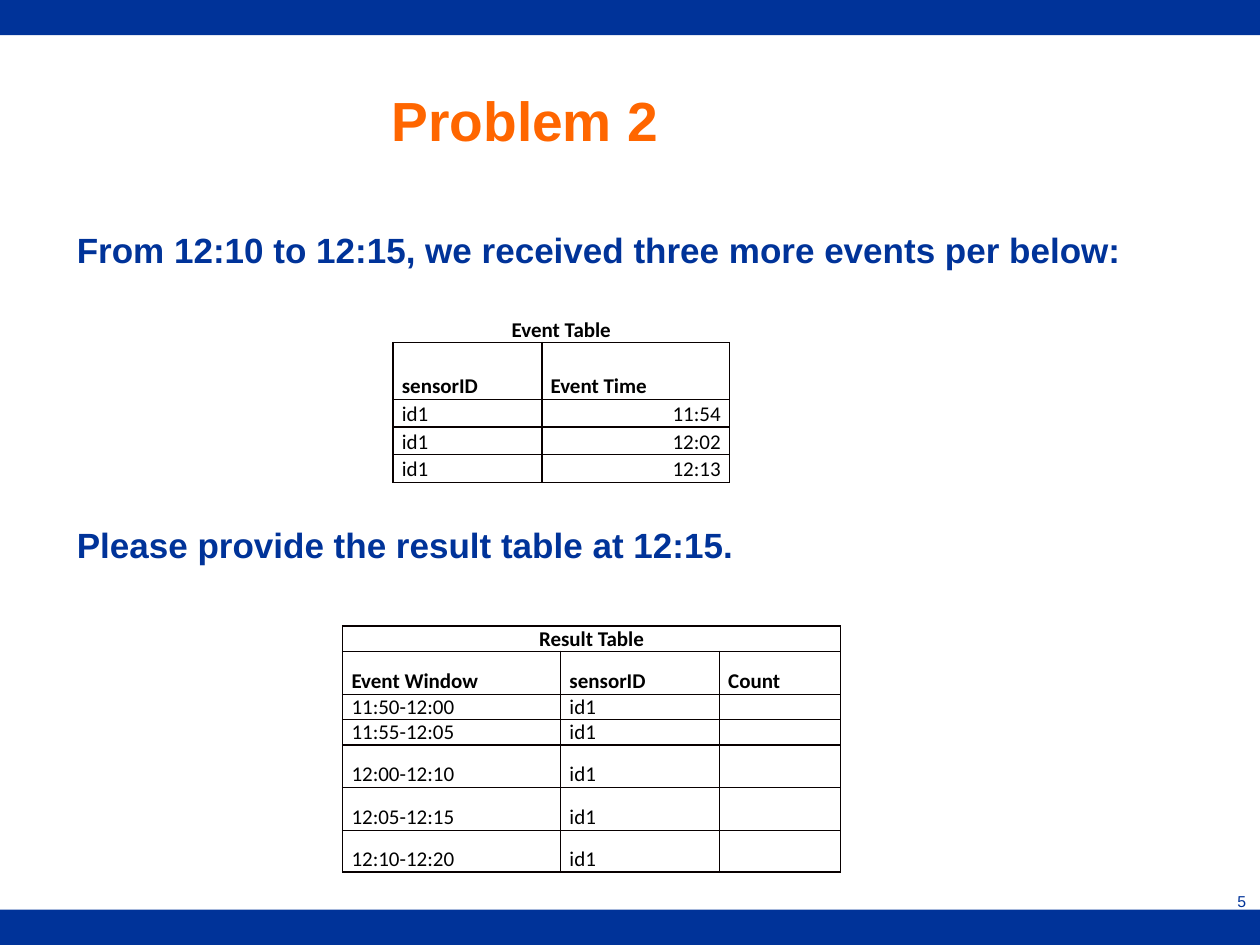
from lxml.etree import SubElement
from pptx import Presentation
from pptx.dml.color import RGBColor
from pptx.enum.shapes import MSO_SHAPE
from pptx.enum.text import MSO_ANCHOR, PP_ALIGN
from pptx.oxml import parse_xml
from pptx.oxml.ns import nsdecls, qn
from pptx.util import Inches, Pt

COLORS = {"blue": "003399", "orange": "FF6600", "black": "000000", "border": "080000"}
FRAME_FORMAT = {
    "word_wrap": True,
    "margin_left": Inches(0.11), "margin_right": Inches(0.11),
    "margin_top": Inches(0.06), "margin_bottom": Inches(0.06),
}
CELL_FORMAT = {
    "vertical_anchor": MSO_ANCHOR.BOTTOM,
    "margin_left": Inches(0.07), "margin_right": Inches(0.07),
    "margin_top": 0, "margin_bottom": 0,
}


def write(paragraph, text, font, size, color, bold=False, align=PP_ALIGN.LEFT):
    paragraph.alignment = align
    run = paragraph.add_run()
    run.text = text
    run.font.color.rgb = RGBColor.from_string(COLORS[color])
    for name, value in {"name": font, "size": Pt(size), "bold": bold}.items():
        setattr(run.font, name, value)


def add_grid(slide, left, top, widths, heights, rows, number_columns=(), title_sides="LRTB"):
    """Add a bordered table whose first row is a merged title and second row a header."""
    frame = slide.shapes.add_table(
        len(rows), len(widths), Inches(left), Inches(top),
        Inches(sum(widths)), Inches(sum(heights)))
    table = frame.table
    table.first_row = table.horz_banding = False
    for column, width in zip(table.columns, widths):
        column.width = Inches(width)
    for row, height in zip(table.rows, heights):
        row.height = Inches(height)
    table.cell(0, 0).merge(table.cell(0, len(widths) - 1))

    for r, texts in enumerate(rows):
        for c in range(len(widths)):
            cell = table.cell(r, c)
            for name, value in CELL_FORMAT.items():
                setattr(cell, name, value)
            cell.fill.background()
            paragraph = cell.text_frame.paragraphs[0]
            if c < len(texts):
                align = PP_ALIGN.LEFT
                if r == 0:
                    align = PP_ALIGN.CENTER
                elif r > 1 and c in number_columns:
                    align = PP_ALIGN.RIGHT
                write(paragraph, texts[c], "Calibri", 12, "black", r < 2, align)
            else:
                # Keeps an empty cell from stretching its row
                SubElement(paragraph._p, qn("a:endParaRPr"), sz="1200")
            properties = cell._tc.get_or_add_tcPr()
            for position, side in enumerate("LRTB" if r else title_sides):
                properties.insert(position, parse_xml(
                    f'<a:ln{side} {nsdecls("a")} w="12700"><a:solidFill>'
                    f'<a:srgbClr val="{COLORS["border"]}"/></a:solidFill></a:ln{side}>'))


prs = Presentation()
prs.slide_width, prs.slide_height = Inches(10), Inches(7.5)
slide = prs.slides.add_slide(prs.slide_layouts[5])

# Bars along the bottom and top edges
for bar_top in (7.22, 0):
    bar = slide.shapes.add_shape(
        MSO_SHAPE.RECTANGLE, 0, Inches(bar_top), prs.slide_width, Inches(0.28))
    bar.shadow.inherit = False
    bar.fill.solid()
    bar.fill.fore_color.rgb = RGBColor.from_string(COLORS["blue"])
    bar.line.fill.background()

title = slide.shapes.title
title.left, title.top = Inches(0.6), Inches(0.32)
title.width, title.height = Inches(7.13), Inches(1.25)
instructions = slide.shapes.add_textbox(
    Inches(0.5), Inches(1.75), Inches(8.92), Inches(4.95))
page_number = slide.shapes.add_textbox(
    Inches(9.17), Inches(7.02), Inches(0.83), Inches(0.4))
for part in (title, instructions, page_number):
    for name, value in FRAME_FORMAT.items():
        setattr(part.text_frame, name, value)

title.text_frame.vertical_anchor = MSO_ANCHOR.MIDDLE
write(title.text_frame.paragraphs[0], "Problem 2", "Arial", 31.5, "orange", True,
      PP_ALIGN.CENTER)
write(page_number.text_frame.paragraphs[0], "5", "Arial", 9, "blue", align=PP_ALIGN.RIGHT)

# The gap between the two sentences leaves room for the event table
task = instructions.text_frame.add_paragraph()
task.space_before = Pt(145)
write(instructions.text_frame.paragraphs[0],
      "From 12:10 to 12:15, we received three more events per below:",
      "Arial", 20, "blue", True)
write(task, "Please provide the result table at 12:15.", "Arial", 20, "blue", True)

event_times = ["11:54", "12:02", "12:13"]
add_grid(
    slide, 3.12, 2.5, [1.18, 1.49], [0.22, 0.45] + [0.22] * 3,
    [["Event Table"], ["sensorID", "Event Time"]] + [["id1", time] for time in event_times],
    number_columns=(1,), title_sides="B")

event_windows = ["11:50-12:00", "11:55-12:05", "12:00-12:10", "12:05-12:15", "12:10-12:20"]
add_grid(
    slide, 2.72, 4.97, [1.73, 1.26, 0.96], [0.2, 0.34, 0.2, 0.2, 0.34, 0.34, 0.33],
    [["Result Table"], ["Event Window", "sensorID", "Count"]]
    + [[window, "id1"] for window in event_windows])

prs.save("out.pptx")
